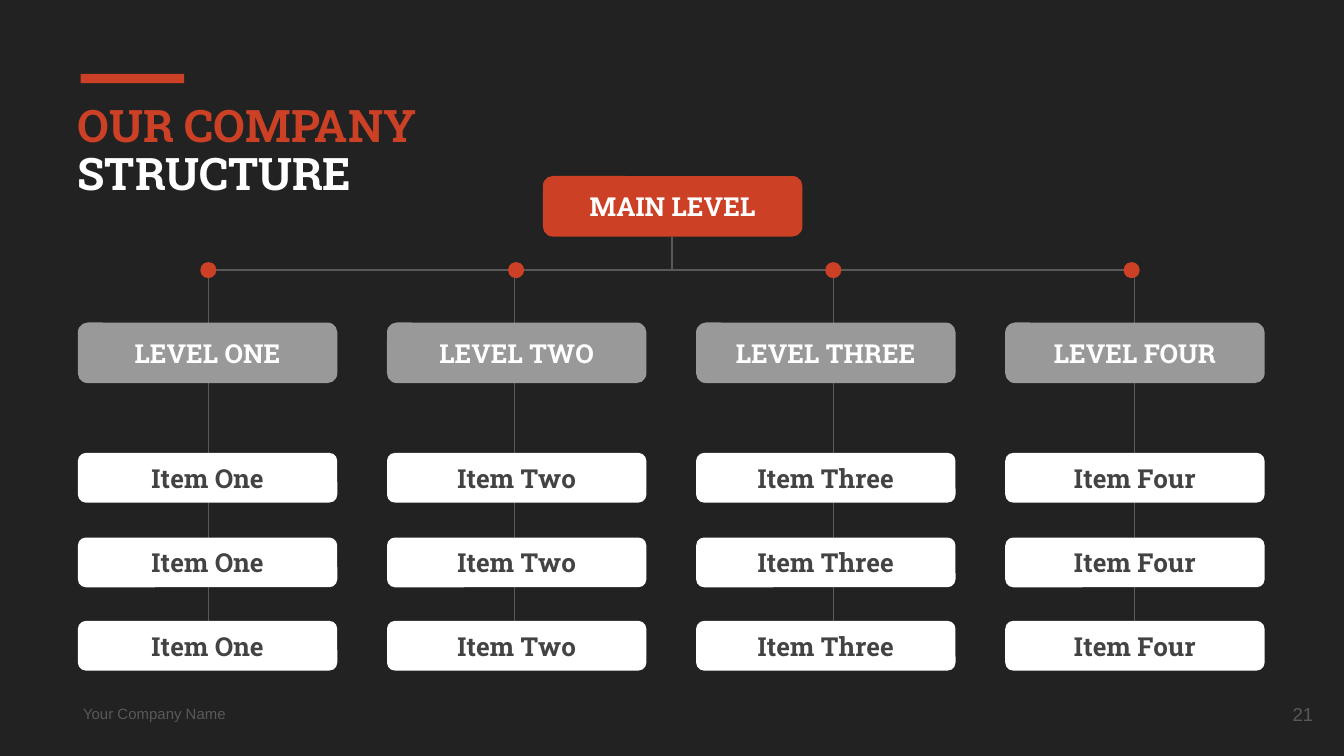
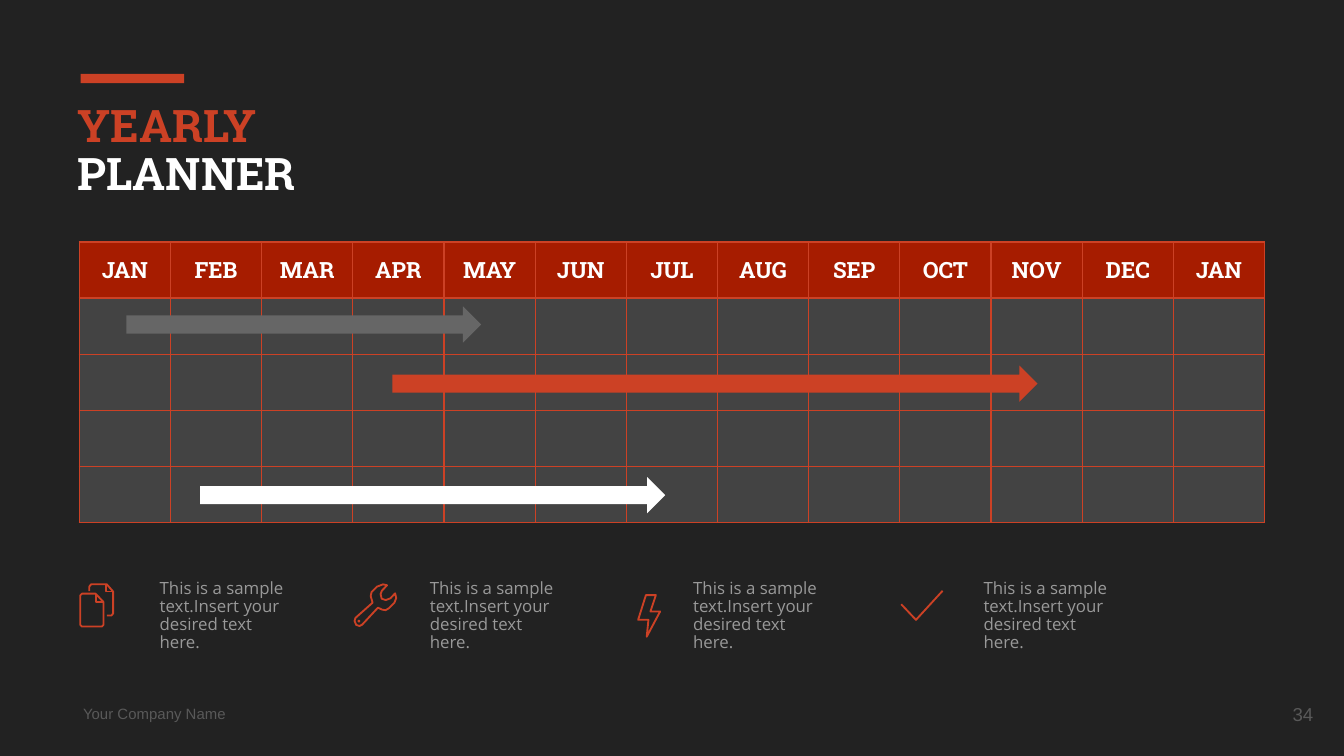
import dataclasses
import typing

import lxml.etree
import pptx
import pptx.dml.color
import pptx.enum.shapes
import pptx.enum.text
import pptx.oxml.ns
import pptx.util

EMU_PER_PX = 9144
ICON_UNITS_PER_PX = 10
COLORS = {
    "ground": "222222",
    "accent": "CC4125",
    "header": "A61C00",
    "cell": "434343",
    "line": "595959",
    "arrow": "666666",
    "gray": "999999",
    "white": "FFFFFF",
}
SHAPES = pptx.enum.shapes.MSO_SHAPE
ALIGN = pptx.enum.text.PP_ALIGN
ANCHOR = pptx.enum.text.MSO_ANCHOR


class Box(typing.NamedTuple):
    left: int
    top: int
    width: int
    height: int


class TextStyle(typing.NamedTuple):
    font: str
    size: int
    color: str
    bold: bool = False
    align: ALIGN = ALIGN.LEFT
    spacing: float = 1.0


class Branch(typing.NamedTuple):
    number: str
    stem: int
    dot_left: int


class Task(typing.NamedTuple):
    box: Box
    color: str


class Stroke(typing.NamedTuple):
    points: tuple[tuple[int, int], ...]
    closed: bool


@dataclasses.dataclass(frozen=True)
class Note:
    text_left: int
    icon_left: int
    icon_top: int
    strokes: tuple[Stroke, ...]


TITLE = TextStyle("Roboto Slab", 24, "accent", True)
TITLE_SECOND = TITLE._replace(color="white", spacing=0.9)
LABEL = TextStyle("Roboto Slab", 14, "white", True, ALIGN.CENTER)
ITEM = LABEL._replace(color="cell")
MONTH = LABEL._replace(size=12)
FOOTER = TextStyle("Arial", 8, "line")
PAGE_NUMBER = TextStyle("Arial", 10, "line", align=ALIGN.RIGHT)
NOTE = TextStyle("Open Sans", 9, "gray", spacing=0.9)
NOTE_TEXT = "This is a sample text.Insert your desired text here."

BRANCHES = (
    Branch("One", 155, 149),
    Branch("Two", 383, 378),
    Branch("Three", 620, 614),
    Branch("Four", 844, 836),
)
ITEM_TOPS = (337, 400, 462)
RAIL_TOP = 201

MONTHS = ("JAN", "FEB", "MAR", "APR", "MAY", "JUN", "JUL",
          "AUG", "SEP", "OCT", "NOV", "DEC", "JAN")
PLANNER_ROWS = 5
PLANNER_BOX = Box(59, 180, 882, 209)
TASKS = (
    Task(Box(94, 228, 264, 27), "arrow"),
    Task(Box(292, 272, 480, 27), "accent"),
    Task(Box(149, 355, 346, 27), "white"),
)

PAGES_ICON = (
    Stroke(((122, 78), (20, 78), (8, 90), (8, 310), (20, 322), (168, 322),
            (180, 310), (180, 140)), True),
    Stroke(((122, 78), (122, 140), (180, 140)), False),
    Stroke(((75, 58), (75, 25), (88, 8), (205, 8), (252, 62), (252, 225),
            (240, 240), (205, 240)), False),
    Stroke(((200, 10), (200, 62), (252, 62)), False),
)
WRENCH_ICON = (
    Stroke(((310, 75), (275, 112), (240, 125), (210, 115), (202, 80),
            (212, 55), (250, 15), (220, 8), (175, 25), (135, 65), (128, 95),
            (142, 145), (15, 258), (8, 280), (20, 310), (45, 318), (65, 308),
            (182, 182), (215, 197), (240, 200), (265, 185), (305, 145),
            (318, 110)), True),
    Stroke(((36, 282), (40, 278), (44, 282), (40, 286)), True),
)
BOLT_ICON = (
    Stroke(((66, 8), (140, 8), (100, 130), (172, 130), (72, 318), (85, 192),
            (8, 192)), True),
)
CHECK_ICON = (Stroke(((6, 106), (116, 222), (314, 6)), False),)
NOTES = (
    Note(109, 59, 434, PAGES_ICON),
    Note(310, 263, 434, WRENCH_ICON),
    Note(506, 474, 442, BOLT_ICON),
    Note(722, 670, 439, CHECK_ICON),
)


def px(length: int) -> pptx.util.Emu:
    return pptx.util.Emu(length * EMU_PER_PX)


def rgb(name: str) -> pptx.dml.color.RGBColor:
    return pptx.dml.color.RGBColor.from_string(COLORS[name])


def set_values(target: typing.Any, values: dict[str, typing.Any]) -> None:
    for name, value in values.items():
        setattr(target, name, value)


def write(frame: typing.Any, lines: list[tuple[str, TextStyle]]) -> None:
    for index, (text, style) in enumerate(lines):
        para = frame.add_paragraph() if index else frame.paragraphs[0]
        set_values(para, {"alignment": style.align, "line_spacing": style.spacing})
        span = para.add_run()
        span.text = text
        set_values(span.font, {
            "name": style.font,
            "size": pptx.util.Pt(style.size),
            "bold": style.bold,
        })
        span.font.color.rgb = rgb(style.color)


def prepare_frame(frame: typing.Any, anchor: ANCHOR) -> None:
    sides = ("margin_left", "margin_top", "margin_right", "margin_bottom")
    set_values(frame, {
        "word_wrap": True,
        "vertical_anchor": anchor,
        **{side: px(10) for side in sides},
    })


def add_text(page: typing.Any, box: Box, lines: list[tuple[str, TextStyle]],
             anchor: ANCHOR = ANCHOR.MIDDLE) -> None:
    frame = page.shapes.add_textbox(*map(px, box)).text_frame
    prepare_frame(frame, anchor)
    write(frame, lines)


def add_block(page: typing.Any, kind: SHAPES, box: Box, color: str) -> typing.Any:
    block = page.shapes.add_shape(kind, *map(px, box))
    block.shadow.inherit = False
    block.fill.solid()
    block.fill.fore_color.rgb = rgb(color)
    block.line.fill.background()
    return block


def add_card(page: typing.Any, box: Box, color: str, text: str,
             style: TextStyle) -> None:
    card = add_block(page, SHAPES.ROUNDED_RECTANGLE, box, color)
    card.adjustments[0] = 0.16
    prepare_frame(card.text_frame, ANCHOR.MIDDLE)
    write(card.text_frame, [(text, style)])


def add_line(page: typing.Any, left: int, top: int, right: int, bottom: int) -> None:
    line = page.shapes.add_connector(
        pptx.enum.shapes.MSO_CONNECTOR.STRAIGHT, *map(px, (left, top, right, bottom)))
    line.line.color.rgb = rgb("line")
    line.line.width = pptx.util.Pt(0.75)
    lxml.etree.SubElement(line._element.spPr, pptx.oxml.ns.qn("a:effectLst"))


def add_icon(page: typing.Any, note: Note) -> None:
    first, *others = note.strokes
    builder = page.shapes.build_freeform(
        *first.points[0], scale=EMU_PER_PX / ICON_UNITS_PER_PX)
    builder.add_line_segments(first.points[1:], close=first.closed)
    for stroke in others:
        builder.move_to(*stroke.points[0])
        builder.add_line_segments(stroke.points[1:], close=stroke.closed)
    icon = builder.convert_to_shape(px(note.icon_left), px(note.icon_top))
    icon.shadow.inherit = False
    icon.fill.background()
    icon.line.color.rgb = rgb("accent")
    icon.line.width = pptx.util.Pt(1)


def add_borders(cell: typing.Any) -> None:
    properties = cell._tc.get_or_add_tcPr()
    for index, side in enumerate(("lnL", "lnR", "lnT", "lnB")):
        border = lxml.etree.Element(
            pptx.oxml.ns.qn(f"a:{side}"), w=str(pptx.util.Pt(0.75)))
        fill = lxml.etree.SubElement(border, pptx.oxml.ns.qn("a:solidFill"))
        lxml.etree.SubElement(
            fill, pptx.oxml.ns.qn("a:srgbClr"), val=COLORS["accent"])
        properties.insert(index, border)


def add_planner(page: typing.Any) -> None:
    table = page.shapes.add_table(
        PLANNER_ROWS, len(MONTHS), *map(px, PLANNER_BOX)).table
    set_values(table, {"first_row": False, "horz_banding": False})
    for column in table.columns:
        column.width = px(PLANNER_BOX.width) // len(MONTHS)
    for row_index, row in enumerate(table.rows):
        row.height = px(PLANNER_BOX.height) // PLANNER_ROWS
        for month, cell in zip(MONTHS, row.cells):
            cell.fill.solid()
            cell.fill.fore_color.rgb = rgb("cell" if row_index else "header")
            cell.vertical_anchor = ANCHOR.MIDDLE
            add_borders(cell)
            if row_index == 0:
                write(cell.text_frame, [(month, MONTH)])


def add_page(deck: typing.Any, first: str, second: str, number: int) -> typing.Any:
    page = deck.slides.add_slide(deck.slide_layouts[6])
    page.background.fill.solid()
    page.background.fill.fore_color.rgb = rgb("ground")
    add_block(page, SHAPES.RECTANGLE, Box(60, 55, 77, 7), "accent")
    add_text(page, Box(52, 518, 167, 26), [("Your Company Name", FOOTER)])
    add_text(page, Box(927, 510, 60, 43), [(str(number), PAGE_NUMBER)])
    add_text(page, Box(48, 63, 451, 116),
             [(first, TITLE), (second, TITLE_SECOND)], ANCHOR.TOP)
    return page


def build_structure(deck: typing.Any) -> None:
    page = add_page(deck, "OUR COMPANY", "STRUCTURE", 21)
    for branch in BRANCHES:
        add_line(page, branch.stem, RAIL_TOP, branch.stem, 478)
    add_line(page, 500, 176, 500, RAIL_TOP)
    add_line(page, BRANCHES[0].stem, RAIL_TOP, BRANCHES[-1].stem, RAIL_TOP)
    add_card(page, Box(404, 131, 193, 45), "accent", "MAIN LEVEL", LABEL)
    for index, branch in enumerate(BRANCHES):
        left = 58 + 230 * index
        add_card(page, Box(left, 240, 193, 45), "gray",
                 f"LEVEL {branch.number.upper()}", LABEL)
        for top in ITEM_TOPS:
            add_card(page, Box(left, top, 193, 37), "white",
                     f"Item {branch.number}", ITEM)
        add_block(page, SHAPES.OVAL, Box(branch.dot_left, 195, 12, 12), "accent")


def build_planner(deck: typing.Any) -> None:
    page = add_page(deck, "YEARLY", "PLANNER", 34)
    add_planner(page)
    for task in TASKS:
        add_block(page, SHAPES.RIGHT_ARROW, task.box, task.color)
    for note in NOTES:
        add_icon(page, note)
        add_text(page, Box(note.text_left, 433, 117, 51), [(NOTE_TEXT, NOTE)])


def main() -> None:
    deck = pptx.Presentation()
    set_values(deck, {"slide_width": px(1000), "slide_height": px(1000) * 9 // 16})
    build_structure(deck)
    build_planner(deck)
    deck.save("out.pptx")


if __name__ == "__main__":
    main()
